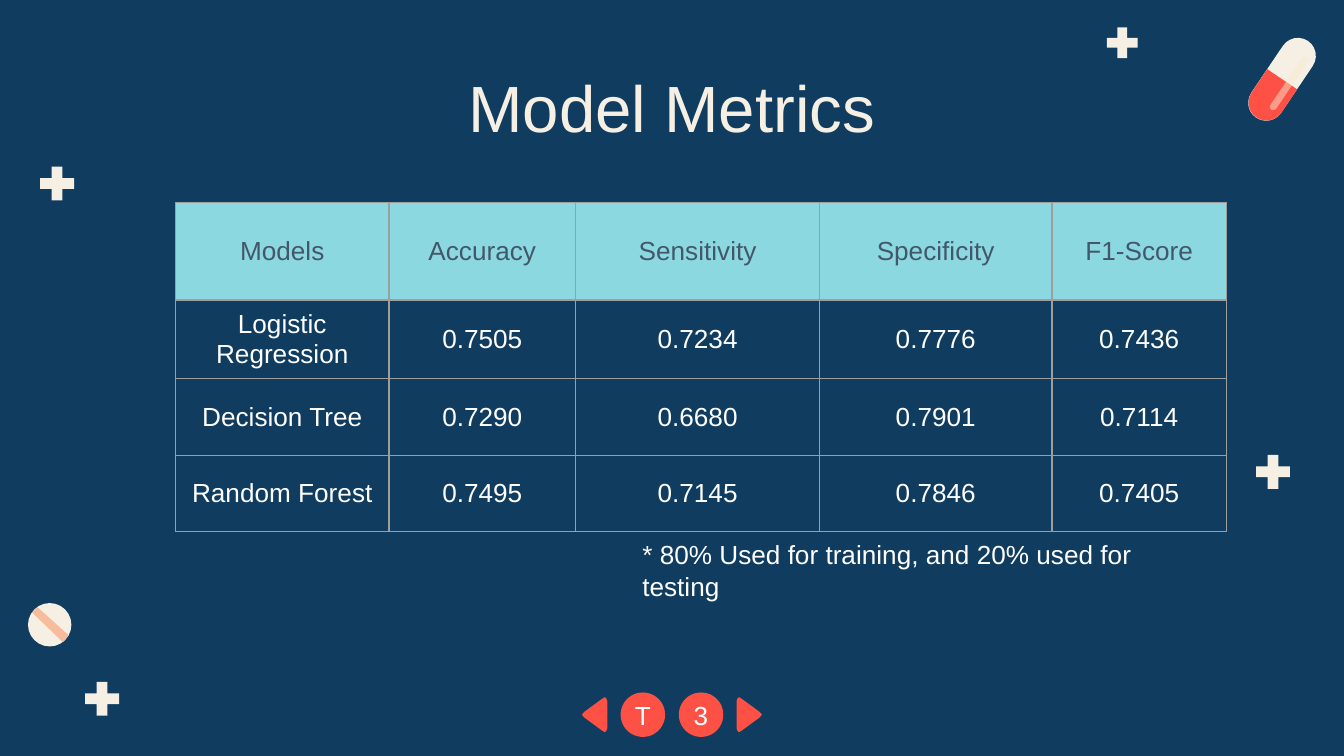
from dataclasses import dataclass

from lxml import etree
from pptx import Presentation
from pptx import util as u
from pptx.dml.color import RGBColor
from pptx.enum import shapes, text
from pptx.oxml.ns import qn


@dataclass(frozen=True)
class Theme:
    font: str = "Arial"
    title_size: int = 35
    text_size: int = 14
    navy: str = "103C60"
    cream: str = "F6EFE4"
    peach: str = "F6BC9B"
    red: str = "FE5145"
    gloss: str = "FAE9CD"
    aqua: str = "8CD8E1"
    slate: str = "42586A"
    white: str = "FFFFFF"
    border: str = "9E9E9E"


class MetricsSlide:
    def __init__(self, deck, theme):
        self.theme = theme
        self.slide = deck.slides.add_slide(deck.slide_layouts[5])
        background = self.slide.background.fill
        background.solid()
        background.fore_color.rgb = RGBColor.from_string(theme.navy)

    def paint(self, figure, color, opacity=100):
        figure.shadow.inherit = False
        figure.line.fill.background()
        figure.fill.solid()
        figure.fill.fore_color.rgb = RGBColor.from_string(color)
        if opacity < 100:
            tint = figure.fill._xPr.find(".//" + qn("a:srgbClr"))
            etree.SubElement(tint, qn("a:alpha"), val=str(opacity * 1000))

    def add_words(self, frame, words, color, size=None, align=text.PP_ALIGN.CENTER):
        paragraph = frame.paragraphs[0]
        paragraph.alignment = align
        run = paragraph.add_run()
        run.text = words
        run.font.name = self.theme.font
        run.font.size = u.Pt(size or self.theme.text_size)
        run.font.bold = False
        run.font.color.rgb = RGBColor.from_string(color)

    def preset(self, kind, center, width, height, color, adjust=(), turn=0, opacity=100):
        x, y = center
        figure = self.slide.shapes.add_shape(
            kind, u.Cm(x - width / 2), u.Cm(y - height / 2), u.Cm(width), u.Cm(height))
        for index, value in enumerate(adjust):
            figure.adjustments[index] = value
        figure.rotation = turn
        self.paint(figure, color, opacity)
        return figure

    def outline(self, points, color):
        corners = [(u.Cm(x), u.Cm(y)) for x, y in points]
        builder = self.slide.shapes.build_freeform(*corners[0])
        builder.add_line_segments(corners[1:], close=True)
        self.paint(builder.convert_to_shape(), color)

    def plus(self, center, size):
        self.preset(shapes.MSO_SHAPE.CROSS, center, size, size, self.theme.cream, (0.34,))

    def tablet(self):
        self.preset(shapes.MSO_SHAPE.OVAL, (0.94, 11.81), 0.82, 0.82, self.theme.cream)
        self.outline([(0.71, 11.48), (1.3, 12.01), (1.19, 12.14), (0.61, 11.58)],
                     self.theme.peach)

    def capsule(self):
        kinds, theme, turn = shapes.MSO_SHAPE, self.theme, 34
        self.preset(kinds.ROUNDED_RECTANGLE, (24.23, 1.5), 0.68, 1.75,
                    theme.cream, (0.5,), turn)
        self.preset(kinds.ROUND_2_SAME_RECTANGLE, (23.99, 1.86), 0.68, 0.87,
                    theme.red, (0, 0.5), turn)
        self.preset(kinds.ROUNDED_RECTANGLE, (24.36, 1.58), 0.13, 1.19,
                    theme.gloss, (0.5,), turn, opacity=49)

    def title(self, words):
        heading = self.slide.shapes.title
        heading.left, heading.top = u.Cm(1.98), u.Cm(1.02)
        heading.width, heading.height = u.Cm(21.44), u.Cm(1.6)
        frame = heading.text_frame
        frame.auto_size = text.MSO_AUTO_SIZE.NONE
        frame.vertical_anchor = text.MSO_ANCHOR.TOP
        frame.margin_left = frame.margin_right = u.Cm(0.25)
        frame.margin_top = frame.margin_bottom = u.Cm(0.25)
        self.add_words(frame, words, self.theme.cream, self.theme.title_size)

    def button(self, words, center):
        disc = self.preset(shapes.MSO_SHAPE.OVAL, center, 0.84, 0.84, self.theme.red)
        frame = disc.text_frame
        frame.margin_left = frame.margin_right = 0
        frame.margin_top = frame.margin_bottom = 0
        frame.vertical_anchor = text.MSO_ANCHOR.MIDDLE
        self.add_words(frame, words, self.theme.white)

    def arrow(self, center, side):
        upper = [(1.22, -0.25), (1.24, -0.31), (1.27, -0.33), (1.32, -0.3), (1.66, -0.05)]
        lower = [(dx, -dy) for dx, dy in reversed(upper)]
        x, y = center
        self.outline([(x + side * dx, y + dy) for dx, dy in upper + [(1.7, 0)] + lower],
                     self.theme.red)

    def frame_cell(self, cell):
        properties = cell._tc.get_or_add_tcPr()
        for edge in ("a:lnL", "a:lnR", "a:lnT", "a:lnB"):
            line = etree.SubElement(properties, qn(edge), w=str(u.Pt(0.75)))
            fill = etree.SubElement(line, qn("a:solidFill"))
            etree.SubElement(fill, qn("a:srgbClr"), val=self.theme.border)

    def table(self, rows, widths, heights):
        grid = self.slide.shapes.add_table(
            len(rows), len(widths), u.Cm(3.32), u.Cm(3.83),
            u.Cm(sum(widths)), u.Cm(sum(heights))).table
        grid.first_row = grid.horz_banding = False
        for column, width in zip(grid.columns, widths):
            column.width = u.Cm(width)
        for index, (values, height) in enumerate(zip(rows, heights)):
            grid.rows[index].height = u.Cm(height)
            for cell, value in zip(grid.rows[index].cells, values):
                self.frame_cell(cell)
                cell.vertical_anchor = text.MSO_ANCHOR.MIDDLE
                if index == 0:
                    cell.fill.solid()
                    cell.fill.fore_color.rgb = RGBColor.from_string(self.theme.aqua)
                else:
                    cell.fill.background()
                self.add_words(cell.text_frame, value,
                               self.theme.white if index else self.theme.slate)

    def note(self, words):
        frame = self.slide.shapes.add_textbox(
            u.Cm(11.89), u.Cm(10.06), u.Cm(11.3), u.Cm(0.86)).text_frame
        frame.word_wrap = True
        self.add_words(frame, words, self.theme.white, align=text.PP_ALIGN.LEFT)


def main():
    deck = Presentation()
    deck.slide_width, deck.slide_height = u.Cm(25.4), u.Cm(14.29)
    page = MetricsSlide(deck, Theme())

    for center, size in [((21.21, 0.81), 0.58), ((24.06, 8.92), 0.64),
                         ((1.08, 3.47), 0.64), ((1.93, 13.21), 0.64)]:
        page.plus(center, size)
    page.tablet()
    page.capsule()
    page.title("Model Metrics")

    middle, baseline = 12.7, 13.51
    for label, side in [("T", -1), ("3", 1)]:
        page.button(label, (middle + side * 0.55, baseline))
        page.arrow((middle, baseline), side)

    page.table(
        [("Models", "Accuracy", "Sensitivity", "Specificity", "F1-Score"),
         ("Logistic Regression", "0.7505", "0.7234", "0.7776", "0.7436"),
         ("Decision Tree", "0.7290", "0.6680", "0.7901", "0.7114"),
         ("Random Forest", "0.7495", "0.7145", "0.7846", "0.7405")],
        widths=(4.03, 3.53, 4.61, 4.39, 3.3),
        heights=(1.84, 1.49, 1.45, 1.44))
    page.note("* 80% Used for training, and 20% used for testing")
    deck.save("out.pptx")


if __name__ == "__main__":
    main()
